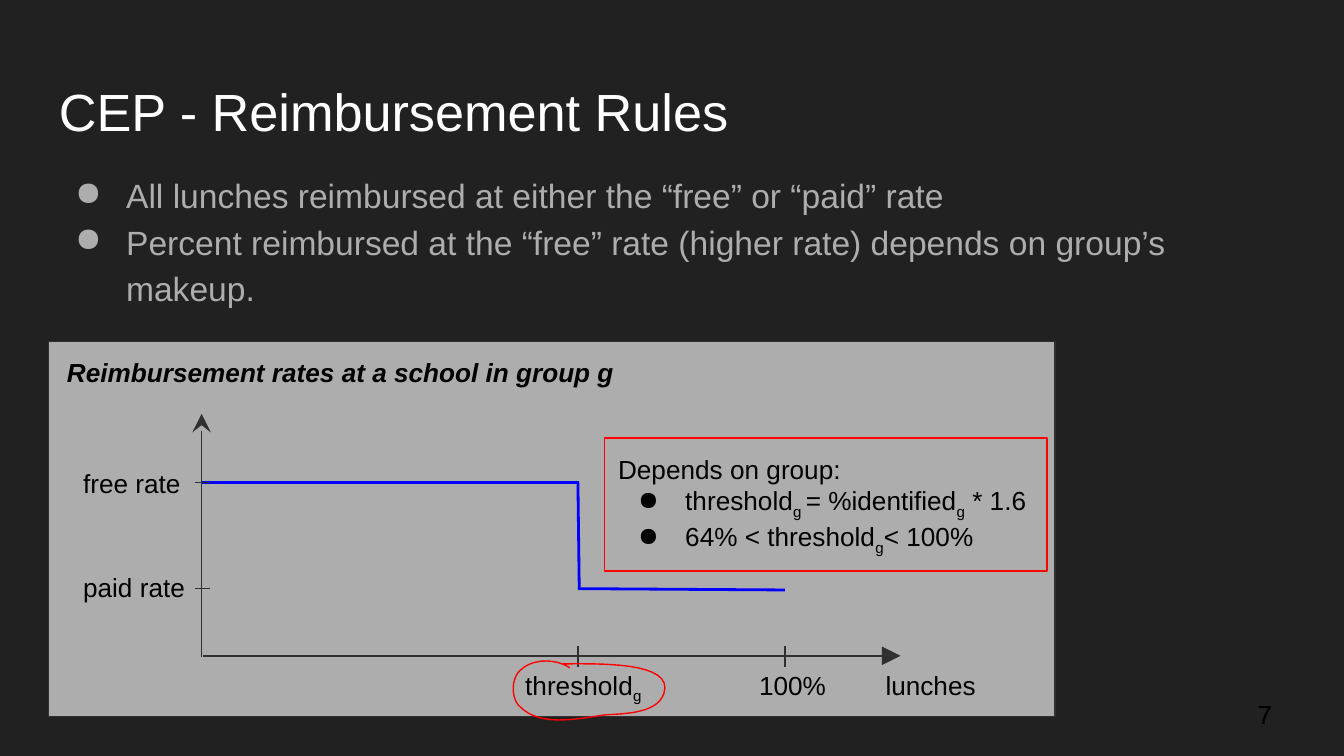
import pptx
import pptx.dml.color
import pptx.enum.shapes
import pptx.enum.text
import pptx.oxml.ns
import pptx.util
from lxml import etree

PX = 9144  # EMU per px, 100 px to the inch
SLIDE_WIDTH = 1000 * PX
INSET = 10
COLORS = {
    "background": "212121",
    "title": "FFFFFF",
    "body": "ADADAD",
    "panel": "ADADAD",
    "axis": "303030",
    "rate": "0000FF",
    "accent": "FF0000",
    "ink": "000000",
}


def color(name):
    return pptx.dml.color.RGBColor.from_string(COLORS[name])


def add_child(parent, tag, **attributes):
    return etree.SubElement(parent, pptx.oxml.ns.qn(tag), **attributes)


def add_bullet(paragraph, indent):
    properties = paragraph._p.get_or_add_pPr()
    properties.set("marL", str(50 * PX))
    properties.set("indent", str(-indent * PX))
    add_child(properties, "a:buChar", char="●")


def write_text(shape, paragraphs, size=14, ink="ink", bold=False, italic=False,
               bullet_from=None, indent=35, spacing=None, space_last=0,
               anchor=pptx.enum.text.MSO_ANCHOR.TOP):
    """Each paragraph is a list of runs; every second run is a subscript."""
    frame = shape.text_frame
    frame.word_wrap = True
    frame.vertical_anchor = anchor
    frame.margin_left = frame.margin_right = INSET * PX
    frame.margin_top = frame.margin_bottom = INSET * PX
    for index, runs in enumerate(paragraphs):
        paragraph = frame.add_paragraph() if index else frame.paragraphs[0]
        paragraph.alignment = pptx.enum.text.PP_ALIGN.LEFT
        if bullet_from is not None and index >= bullet_from:
            add_bullet(paragraph, indent)
        if spacing:
            paragraph.line_spacing = spacing
        if space_last and index == len(paragraphs) - 1:
            paragraph.space_after = pptx.util.Pt(space_last)
        for position, text in enumerate(runs):
            run = paragraph.add_run()
            run.text = text
            run.font.name = "Arial"
            run.font.size = pptx.util.Pt(size)
            run.font.bold = bold
            run.font.italic = italic
            run.font.color.rgb = color(ink)
            if position % 2:
                run.font._element.set("baseline", "-25000")


def add_text(shapes, left, top, width, height, paragraphs, **text_format):
    box = shapes.add_textbox(left * PX, top * PX, width * PX, height * PX)
    write_text(box, paragraphs, **text_format)


def style_shape(shape, line, fill=None):
    shape.shadow.inherit = False
    shape.line.color.rgb = color(line)
    shape.line.width = pptx.util.Pt(0.75)
    if fill:
        shape.fill.solid()
        shape.fill.fore_color.rgb = color(fill)
    else:
        shape.fill.background()


def add_rectangle(shapes, left, top, width, height, line, fill=None):
    rectangle = shapes.add_shape(pptx.enum.shapes.MSO_SHAPE.RECTANGLE,
                                 left * PX, top * PX, width * PX, height * PX)
    style_shape(rectangle, line, fill)
    return rectangle


def add_line(shapes, x1, y1, x2, y2, line="axis", width=0.75, arrow=None):
    """The arrow, if any, is drawn at the second point."""
    connector = shapes.add_connector(pptx.enum.shapes.MSO_CONNECTOR.STRAIGHT,
                                     x1 * PX, y1 * PX, x2 * PX, y2 * PX)
    connector.line.color.rgb = color(line)
    connector.line.width = pptx.util.Pt(width)
    if arrow:
        add_child(connector.line._get_or_add_ln(), "a:tailEnd",
                  type=arrow, w="lg", len="lg")
    add_child(connector._element.spPr, "a:effectLst")


def curve_points(start, curves, steps=16):
    points = []
    for control_1, control_2, end in curves:
        for step in range(1, steps + 1):
            t = step / steps
            weights = ((1 - t) ** 3, 3 * t * (1 - t) ** 2, 3 * t ** 2 * (1 - t), t ** 3)
            corners = (start, control_1, control_2, end)
            points.append(tuple(sum(weight * corner[axis] for weight, corner
                                    in zip(weights, corners)) for axis in (0, 1)))
        start = end
    return points


def build_heading(slide, left, top, width):
    add_text(slide.shapes, left, top, width, 63, [["CEP - Reimbursement Rules"]],
             size=28, ink="title")
    add_text(slide.shapes, left, top + 67, width, 119, [
        ["All lunches reimbursed at either the “free” or “paid” rate"],
        ["Percent reimbursed at the “free” rate (higher rate) depends on group’s makeup."],
    ], size=18, ink="body", bullet_from=0, indent=38, spacing=1.15, space_last=16)


def build_rate_diagram(slide, left, top, width, height):
    shapes = slide.shapes.add_group_shape().shapes
    add_rectangle(shapes, left, top, width, height, "axis", "panel")
    axis_x, axis_y = left + 114, top + 234
    free_y, paid_y = top + 105, top + 184
    threshold_x, full_x = left + 394, left + 548

    # Step function
    for segment in ((axis_x, free_y, threshold_x + 1, free_y),
                    (threshold_x, paid_y, full_x, paid_y + 1),
                    (threshold_x, free_y, threshold_x + 1, paid_y)):
        add_line(shapes, *segment, line="rate", width=1.5)

    # Axes and ticks
    add_line(shapes, axis_x, axis_y + 1, axis_x, top + 54, arrow="stealth")
    add_line(shapes, axis_x + 1, axis_y, left + 634, axis_y, arrow="triangle")
    for x in (threshold_x, full_x):
        add_line(shapes, x, axis_y - 7, x, axis_y + 8)
    for y in (free_y, paid_y):
        add_line(shapes, axis_x - 5, y, axis_x + 6, y)

    # Labels
    for x, label_width, runs in ((519, 86, ["100%"]), (345, 116, ["threshold", "g"]),
                                 (613, 101, ["lunches"])):
        add_text(shapes, left + x, axis_y, label_width, 47, [runs])
    for y, label in ((free_y - 21, "free rate"), (paid_y - 23, "paid rate")):
        add_text(shapes, left + 16, y, 109, 47, [[label]])
    add_text(shapes, left + 4, top + 1, 453, 47,
             [["Reimbursement rates at a school in group g"]], bold=True, italic=True)


def build_threshold_circle(slide, left, top):
    start = (42, 5)
    curves = (((32, -2), (15, -2), (6, 6)),
              ((-2, 12), (-2, 28), (5, 34)),
              ((20, 49), (47, 43), (68, 40)),
              ((83, 39), (107, 39), (112, 24)),
              ((120, 0), (63, 2), (37, 2)))
    points = [(round((left + x) * PX), round((top + y) * PX))
              for x, y in [start] + curve_points(start, curves)]
    builder = slide.shapes.build_freeform(*points[0])
    builder.add_line_segments(points[1:], close=False)
    style_shape(builder.convert_to_shape(), "accent")


def build_threshold_note(slide, left, top, width, height):
    note = add_rectangle(slide.shapes, left, top, width, height, "accent")
    write_text(note, [
        ["Depends on group:"],
        ["threshold", "g ", "= %identified", "g", " * 1.6"],
        ["64% < threshold", "g", "< 100%"],
    ], bullet_from=1, anchor=pptx.enum.text.MSO_ANCHOR.MIDDLE)


def main():
    presentation = pptx.Presentation()
    presentation.slide_width = SLIDE_WIDTH
    presentation.slide_height = SLIDE_WIDTH * 9 // 16
    slide = presentation.slides.add_slide(presentation.slide_layouts[6])
    slide.background.fill.solid()
    slide.background.fill.fore_color.rgb = color("background")

    build_heading(slide, 34, 49, 932)
    build_rate_diagram(slide, 36, 254, 749, 279)
    build_threshold_circle(slide, 382, 492)
    build_threshold_note(slide, 450, 326, 329, 99)
    # Slide number
    add_text(slide.shapes, 926, 510, 60, 43, [["7"]])
    presentation.save("out.pptx")


if __name__ == "__main__":
    main()
